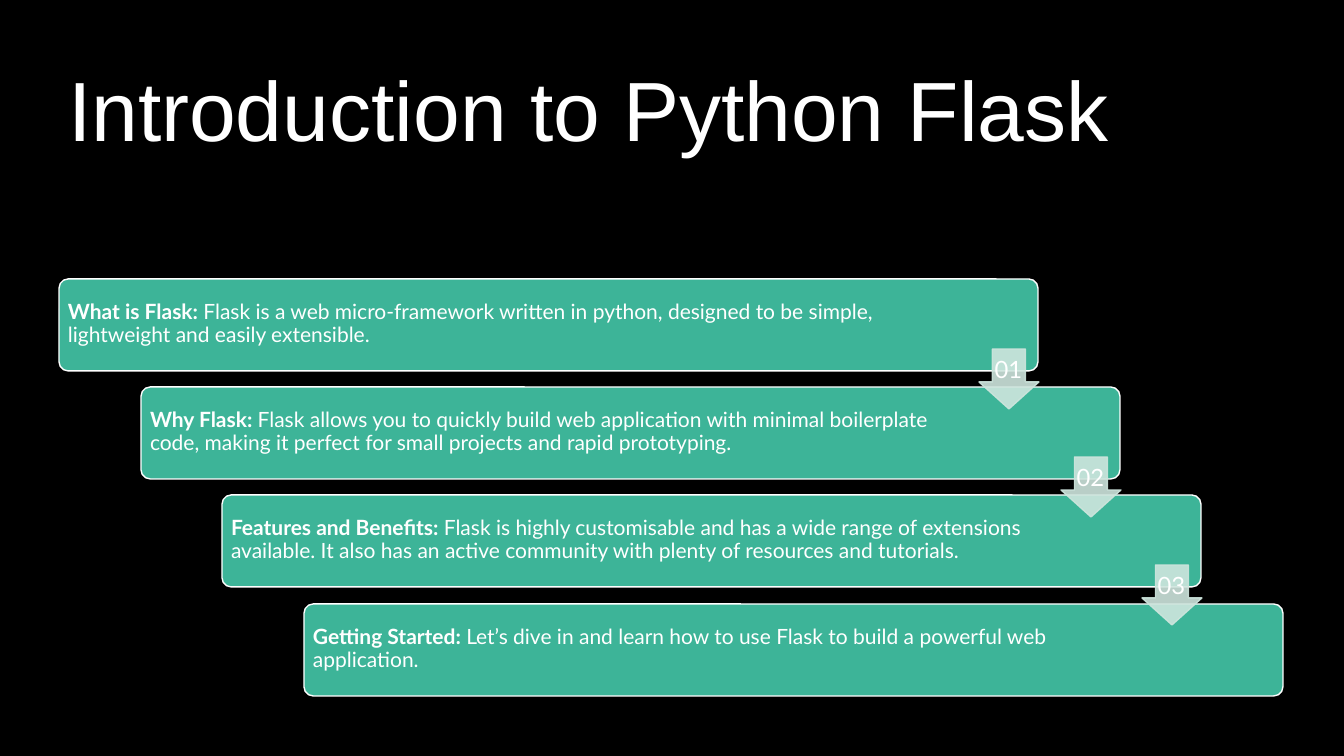
from lxml import etree
from pptx import Presentation
from pptx.dml.color import RGBColor
from pptx.enum.shapes import MSO_SHAPE
from pptx.enum.text import MSO_ANCHOR, PP_ALIGN
from pptx.oxml.ns import qn
from pptx.util import Pt

ROUNDED, DOWN_ARROW = MSO_SHAPE.ROUNDED_RECTANGLE, MSO_SHAPE.DOWN_ARROW
TOP, MIDDLE = MSO_ANCHOR.TOP, MSO_ANCHOR.MIDDLE
LEFT, CENTER = PP_ALIGN.LEFT, PP_ALIGN.CENTER
SCALE = 914400 / 100.8  # EMU per pixel
BLACK, WHITE, GREEN, MINT = "000000", "FFFFFF", "3DB498", "CEE5DD"


def px(value):
    return round(value * SCALE)


def rgb(value):
    return RGBColor.from_string(value)


class SlideBuilder:
    """Holds the current slide and its text style."""

    def __init__(self, slide, font, color):
        self.slide, self.font, self.color = slide, font, color

    def background(self, color):
        fill = self.slide.background.fill
        fill.solid()
        fill.fore_color.rgb = rgb(color)

    def shape(self, preset, box, adjustments, fill, line, opacity=100):
        shape = self.slide.shapes.add_shape(preset, *map(px, box))
        shape.shadow.inherit = False
        for index, value in enumerate(adjustments):
            shape.adjustments[index] = value
        shape.line.width = Pt(1)
        for paint, color in ((shape.fill, fill), (shape.line.fill, line)):
            paint.solid()
            paint.fore_color.rgb = rgb(color)
        if opacity < 100:
            for color in shape.element.spPr.iter(qn("a:srgbClr")):
                etree.SubElement(color, qn("a:alpha"), val=str(opacity * 1000))

    def text(self, box, runs, size, insets, anchor=MIDDLE, align=LEFT, font=None):
        frame = self.slide.shapes.add_textbox(*map(px, box)).text_frame
        frame.word_wrap = True
        frame.vertical_anchor = anchor
        side, edge = map(px, insets)
        frame.margin_left = frame.margin_right = side
        frame.margin_top = frame.margin_bottom = edge
        paragraph = frame.paragraphs[0]
        paragraph.alignment = align
        paragraph.line_spacing = 0.9
        for words, bold in runs:
            run = paragraph.add_run()
            run.text = words
            run.font.name = font or self.font
            run.font.size = Pt(size)
            run.font.bold = bold
            run.font.color.rgb = rgb(self.color)


presentation = Presentation()
presentation.slide_width, presentation.slide_height = px(1344), px(756)
page = SlideBuilder(
    presentation.slides.add_slide(presentation.slide_layouts[6]), "Lato", WHITE)
page.background(BLACK)

# Title
page.text((59, 59, 1224, 200), [("Introduction to Python Flask", False)], 60,
          (9, 10), anchor=TOP, font="Arial")

# Topics: heading, explanation, text width
topics = [
    ("What is Flask: ",
     "Flask is a web micro-framework written in python, designed to be simple, "
     "lightweight and easily extensible.", 872),
    ("Why Flask: ",
     "Flask allows you to quickly build web application with minimal boilerplate "
     "code, making it perfect for small projects and rapid prototyping.", 832),
    ("Features and Benefits: ",
     "Flask is highly customisable and has a wide range of extensions available. "
     "It also has an active community with plenty of resources and tutorials.", 834),
    ("Getting Started: ",
     "Let’s dive in and learn how to use Flask to build a powerful web "
     "application.", 832),
]
# Each step of the staircase moves right and down by the same amount
steps = [(round(59.4 + 81.5 * i), round(279 + 108.2 * i))
         for i in range(len(topics))]

for (left, top), (heading, explanation, width) in zip(steps, topics):
    page.shape(ROUNDED, (left, top, 979, 92), [0.1], GREEN, WHITE)
    page.text((left + 3, top + 2, width, 87),
              [(heading, True), (explanation, False)], 15, (6, 6))

# Numbered arrows between neighbouring steps
for number, (left, top) in enumerate(steps[:-1], 1):
    page.shape(DOWN_ARROW, (left + 920, top + 70, 60, 60), [0.55, 0.45],
               MINT, MINT, opacity=90)
    page.text((left + 933, top + 70, 33, 44), [(f"{number:02}", False)], 17,
              (2, 2), align=CENTER)

presentation.save("out.pptx")
